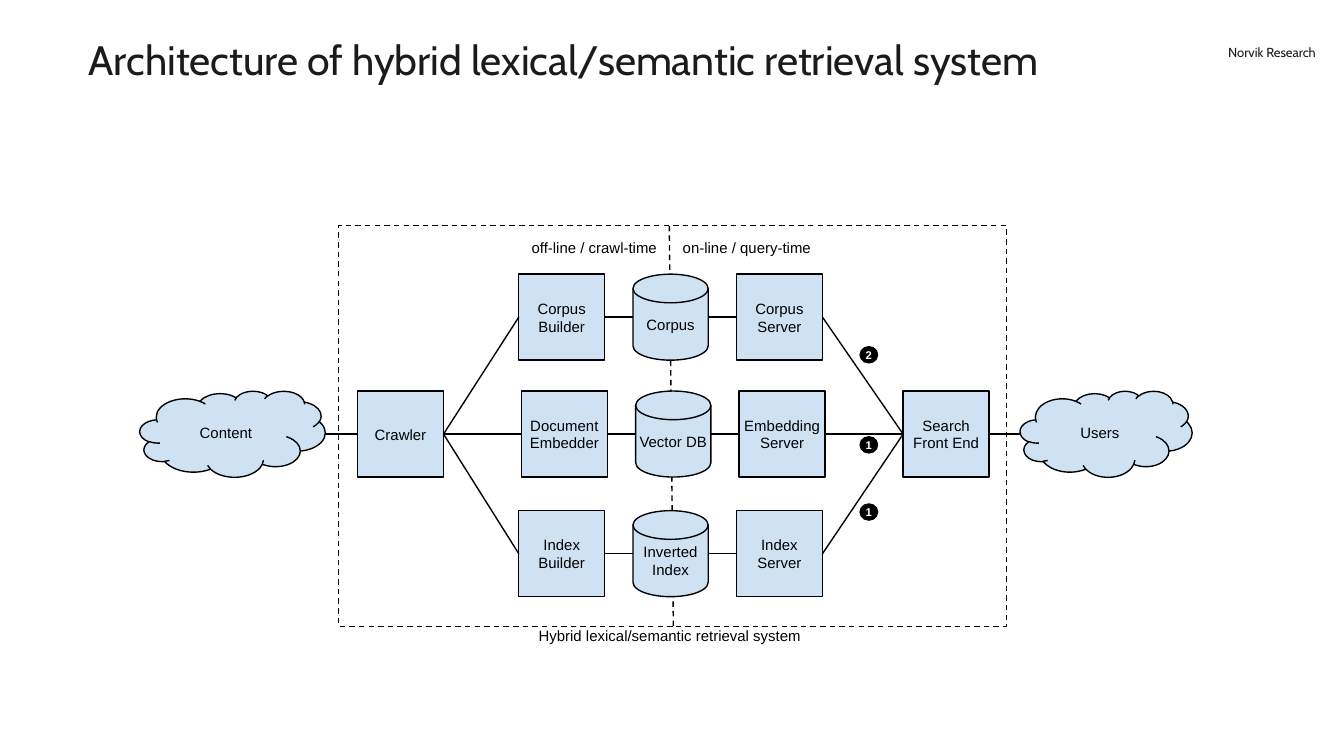
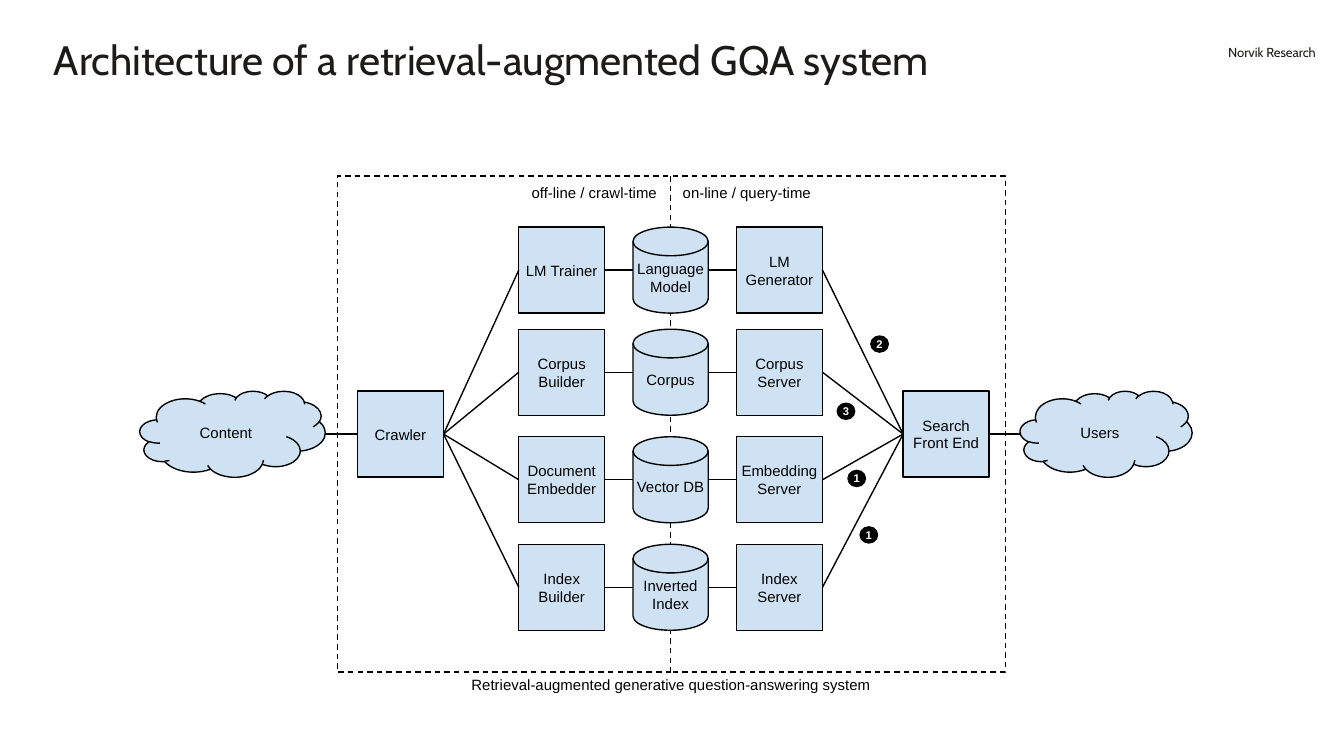
from dataclasses import dataclass

from lxml import etree
from pptx import Presentation
from pptx.dml.color import RGBColor
from pptx.enum import dml, shapes, text
from pptx.oxml import ns
from pptx.util import Inches, Pt

INK = "1C1B19"
BLACK = "000000"
WHITE = "FFFFFF"
PALE_BLUE = "CFE2F3"
TITLE_FONT = "Cabin"
LABEL_FONT = "Arial"
BRAND = "Norvik Research"

BOX = 0.64
STORE_WIDTH = 0.56
BUILDER_LEFT = 3.86
STORE_LEFT = 4.71
SERVER_LEFT = 5.48
HUB_TOP = 2.91
HUB_MIDDLE = HUB_TOP + BOX / 2
FRAME_WIDTH = 4.97

LEFT, CENTER, RIGHT = text.PP_ALIGN.LEFT, text.PP_ALIGN.CENTER, text.PP_ALIGN.RIGHT
TOP, MIDDLE, BOTTOM = text.MSO_ANCHOR.TOP, text.MSO_ANCHOR.MIDDLE, text.MSO_ANCHOR.BOTTOM
RECTANGLE = shapes.MSO_SHAPE.RECTANGLE
CLOUD = shapes.MSO_SHAPE.CLOUD
DISK = shapes.MSO_SHAPE.FLOWCHART_MAGNETIC_DISK
OVAL = shapes.MSO_SHAPE.OVAL
LEFT_SIDE, RIGHT_SIDE = 1, 3


@dataclass
class Row:
    top: float
    builder: str
    store: str
    server: str
    shift: float = 0


@dataclass
class Diagram:
    title: str
    title_left: float
    title_width: float
    caption: str
    caption_left: float
    caption_top: float
    frame_left: float
    frame_top: float
    frame_height: float
    divider: tuple
    labels_top: float
    rows: list
    badges: list


HYBRID = Diagram(
    title="Architecture of hybrid lexical/semantic retrieval system",
    title_left=0.66, title_width=8.11,
    caption="Hybrid lexical/semantic retrieval system",
    caption_left=2.5, caption_top=4.66,
    frame_left=2.52, frame_top=1.68, frame_height=2.98,
    divider=(4.98, 5.01), labels_top=1.72,
    rows=[
        Row(2.04, "Corpus Builder", "Corpus", "Corpus Server"),
        Row(2.91, "Document\nEmbedder", "Vector DB", "Embedding Server", 0.02),
        Row(3.8, "Index Builder", "Inverted Index", "Index\nServer"),
    ],
    badges=[("1", 6.4, 3.75), ("1", 6.4, 3.25), ("2", 6.4, 2.58)],
)

GENERATIVE = Diagram(
    title="Architecture of a retrieval-augmented GQA system",
    title_left=0.4, title_width=8.52,
    caption="Retrieval-augmented generative question-answering system",
    caption_left=2.51, caption_top=5.02,
    frame_left=2.51, frame_top=1.31, frame_height=3.69,
    divider=(4.99, 4.99), labels_top=1.31,
    rows=[
        Row(1.69, "LM Trainer", "Language Model", "LM Generator"),
        Row(2.45, "Corpus Builder", "Corpus", "Corpus Server"),
        Row(3.25, "Document\nEmbedder", "Vector DB", "Embedding Server"),
        Row(4.05, "Index Builder", "Inverted Index", "Index\nServer"),
    ],
    badges=[("1", 6.4, 3.92), ("1", 6.31, 3.5), ("3", 6.23, 3), ("2", 6.48, 2.5)],
)


def color(value):
    return RGBColor.from_string(value)


def write(box, words, size=8, font=LABEL_FONT, ink=BLACK, align=CENTER,
          anchor=MIDDLE, inset=0, bold=False):
    frame = box.text_frame
    frame.text = words
    frame.word_wrap = True
    frame.vertical_anchor = anchor
    frame.margin_left = frame.margin_right = Inches(inset)
    frame.margin_top = frame.margin_bottom = Inches(inset)
    for para in frame.paragraphs:
        para.alignment = align
        para.font.size = Pt(size)
        para.font.name = font
        para.font.bold = bold
        para.font.color.rgb = color(ink)


def style_line(line, dashed=False):
    line.color.rgb = color(BLACK)
    line.width = Pt(0.75)
    if dashed:
        line.dash_style = dml.MSO_LINE.DASH


def add_title(page, words, left, width):
    title = page.shapes.title
    title.left, title.top = Inches(left), Inches(0.3)
    title.width, title.height = Inches(width), Inches(0.33)
    write(title, words, 22, TITLE_FONT, INK, LEFT, TOP)
    title.text_frame.auto_size = text.MSO_AUTO_SIZE.SHAPE_TO_FIT_TEXT
    title.text_frame.paragraphs[0].line_spacing = 0.9


def add_label(page, words, left, top, width, height, **style):
    box = page.shapes.add_textbox(Inches(left), Inches(top), Inches(width), Inches(height))
    write(box, words, **style)


def add_node(page, kind, left, top, width, height, fill=PALE_BLUE, dashed=False):
    node = page.shapes.add_shape(kind, Inches(left), Inches(top), Inches(width), Inches(height))
    node.shadow.inherit = False
    if fill:
        node.fill.solid()
        node.fill.fore_color.rgb = color(fill)
    else:
        node.fill.background()
    style_line(node.line, dashed)
    return node


def add_box(page, words, left, top):
    box = add_node(page, RECTANGLE, left, top, BOX, BOX)
    write(box, words)
    return box


def add_cloud(page, words, left, width):
    cloud = add_node(page, CLOUD, left, HUB_TOP, width, BOX)
    write(cloud, words, inset=0.1)


def add_badge(page, number, left, top):
    badge = add_node(page, OVAL, left, top, 0.13, 0.12, BLACK)
    write(badge, number, size=6, ink=WHITE, bold=True)


def add_line(page, start, end, source=None, target=None, dashed=False):
    line = page.shapes.add_connector(
        shapes.MSO_CONNECTOR.STRAIGHT, *(Inches(value) for value in (*start, *end)))
    style_line(line.line, dashed)
    etree.SubElement(line._element.spPr, ns.qn("a:effectLst"))
    if source:
        line.begin_connect(source, RIGHT_SIDE)
    if target:
        line.end_connect(target, LEFT_SIDE)


def add_row(page, row, crawler, front_end):
    builder_left = BUILDER_LEFT + row.shift
    store_left = STORE_LEFT + row.shift
    server_left = SERVER_LEFT + row.shift
    middle = row.top + BOX / 2
    builder = add_box(page, row.builder, builder_left, row.top)
    store = add_node(page, DISK, store_left, row.top, STORE_WIDTH, BOX)
    write(store, row.store)
    server = add_box(page, row.server, server_left, row.top)
    add_line(page, (3.3, HUB_MIDDLE), (builder_left, middle), crawler, builder)
    add_line(page, (builder_left + BOX, middle), (store_left, middle), source=builder)
    add_line(page, (store_left + STORE_WIDTH, middle), (server_left, middle), target=server)
    add_line(page, (server_left + BOX, middle), (6.72, HUB_MIDDLE), server, front_end)


def add_diagram(deck, diagram):
    page = deck.slides.add_slide(deck.slide_layouts[5])
    add_label(page, BRAND, 7.89, 0.33, 1.9, 0.12,
              size=7, font=TITLE_FONT, ink=INK, align=RIGHT, anchor=BOTTOM)
    add_title(page, diagram.title, diagram.title_left, diagram.title_width)

    frame_bottom = diagram.frame_top + diagram.frame_height
    divider_top, divider_bottom = diagram.divider
    add_line(page, (divider_top, diagram.frame_top), (divider_bottom, frame_bottom), dashed=True)

    add_cloud(page, "Content", 1.04, 1.38)
    add_cloud(page, "Users", 7.59, 1.28)
    crawler = add_box(page, "Crawler", 2.66, HUB_TOP)
    front_end = add_box(page, "Search Front End", 6.72, HUB_TOP)
    add_line(page, (2.42, HUB_MIDDLE), (2.66, HUB_MIDDLE), target=crawler)
    add_line(page, (7.36, HUB_MIDDLE), (7.59, HUB_MIDDLE), source=front_end)
    for row in diagram.rows:
        add_row(page, row, crawler, front_end)

    add_label(page, "off-line / crawl-time", 3.31, diagram.labels_top, 1.58, 0.25, align=RIGHT)
    add_label(page, "on-line / query-time", 5.08, diagram.labels_top, 1.58, 0.25, align=LEFT)
    add_node(page, RECTANGLE, diagram.frame_left, diagram.frame_top,
             FRAME_WIDTH, diagram.frame_height, fill=None, dashed=True)
    add_label(page, diagram.caption, diagram.caption_left, diagram.caption_top, FRAME_WIDTH, 0.14)
    for badge in diagram.badges:
        add_badge(page, *badge)


def main():
    deck = Presentation()
    deck.slide_width = Inches(10)
    deck.slide_height = Inches(10 * 9 / 16)
    for diagram in (HYBRID, GENERATIVE):
        add_diagram(deck, diagram)
    deck.save("out.pptx")


if __name__ == "__main__":
    main()
